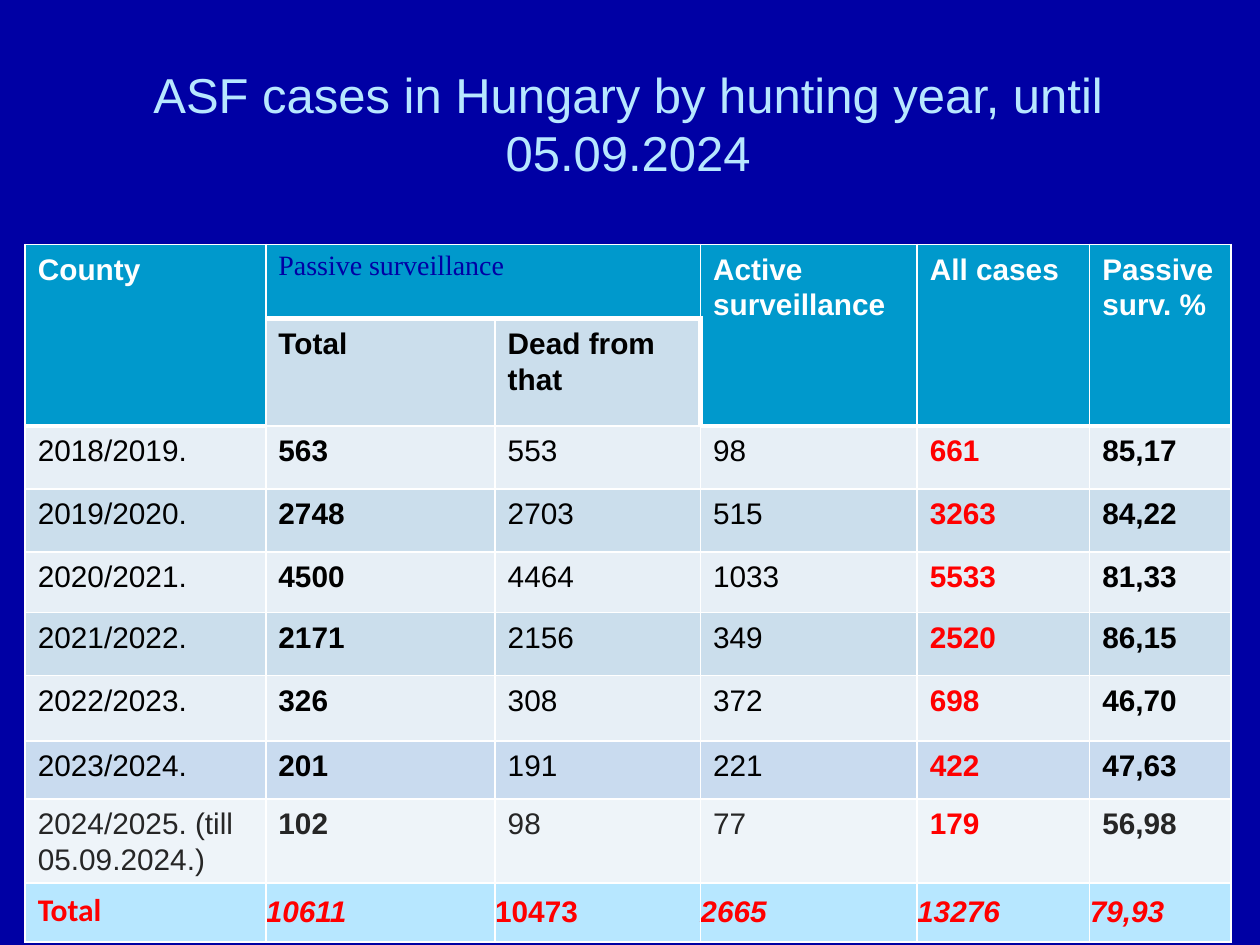
from dataclasses import dataclass
from typing import Optional

from lxml import etree
from pptx import Presentation
from pptx.dml.color import RGBColor
from pptx.enum.text import MSO_ANCHOR, PP_ALIGN
from pptx.oxml.ns import qn
from pptx.util import Inches, Pt

CENTER, MIDDLE, TOP = PP_ALIGN.CENTER, MSO_ANCHOR.MIDDLE, MSO_ANCHOR.TOP

NAVY = RGBColor(0x00, 0x00, 0xA4)
SKY = RGBColor(0xB7, 0xE7, 0xFF)
TEAL = RGBColor(0x00, 0x99, 0xCC)
WHITE = RGBColor(0xFF, 0xFF, 0xFF)
BLACK = RGBColor(0x00, 0x00, 0x00)
CHARCOAL = RGBColor(0x26, 0x26, 0x26)
RED = RGBColor(0xFF, 0x00, 0x00)
PALE = RGBColor(0xE7, 0xEF, 0xF6)
BAND = RGBColor(0xCB, 0xDE, 0xEC)
LAVENDER = RGBColor(0xC9, 0xDB, 0xEF)
LIGHTEST = RGBColor(0xEE, 0xF4, 0xF9)

COLUMN_WIDTHS = [1.91, 1.82, 1.63, 1.72, 1.37, 1.12]
ROW_HEIGHTS = [0.59, 0.85, 0.5, 0.5, 0.48, 0.5, 0.52, 0.46, 0.46, 0.47]
HEADER_ROWS = 2
ALL_CASES_COLUMN = 4
BOLD_COLUMNS = {1, 4, 5}
THIN, THICK = 1, 3


@dataclass
class CellStyle:
    fill: RGBColor
    color: RGBColor = BLACK
    bold: bool = True
    italic: bool = False
    size: float = 17
    name: str = "Arial"
    line_spacing: Optional[float] = 1.07
    space_after: float = 8
    inset: bool = True


@dataclass
class YearRow:
    values: list[str]
    fill: RGBColor
    color: RGBColor = BLACK


HEADERS = {0: "County", 3: "Active surveillance", 4: "All cases", 5: "Passive surv. %"}
SUBHEADERS = {1: "Total", 2: "Dead from that"}
YEARS = [
    YearRow(["2018/2019.", "563", "553", "98", "661", "85,17"], PALE),
    YearRow(["2019/2020.", "2748", "2703", "515", "3263", "84,22"], BAND),
    YearRow(["2020/2021.", "4500", "4464", "1033", "5533", "81,33"], PALE),
    YearRow(["2021/2022.", "2171", "2156", "349", "2520", "86,15"], BAND),
    YearRow(["2022/2023.", "326", "308", "372", "698", "46,70"], PALE),
    YearRow(["2023/2024.", "201", "191", "221", "422", "47,63"], LAVENDER),
    YearRow(["2024/2025. (till 05.09.2024.)", "102", "98", "77", "179", "56,98"],
            LIGHTEST, CHARCOAL),
]
TOTALS = ["Total", "10611", "10473", "2665", "13276", "79,93"]


def set_attributes(target, values: dict) -> None:
    for attribute, value in values.items():
        setattr(target, attribute, value)


def write_cell(cell, text: str, style: CellStyle) -> None:
    cell.fill.solid()
    cell.fill.fore_color.rgb = style.fill
    horizontal, vertical = (0.1, 0.05) if style.inset else (0, 0)
    set_attributes(cell, {
        "margin_left": Inches(horizontal), "margin_right": Inches(horizontal),
        "margin_top": Inches(vertical), "margin_bottom": Inches(vertical),
        "vertical_anchor": TOP if style.inset else MIDDLE,
    })
    paragraph = cell.text_frame.paragraphs[0]
    set_attributes(paragraph, {"line_spacing": style.line_spacing,
                               "space_after": Pt(style.space_after)})
    run = paragraph.add_run()
    run.text = text
    set_attributes(run.font, {"size": Pt(style.size), "name": style.name,
                              "bold": style.bold, "italic": style.italic})
    run.font.color.rgb = style.color


def border_widths(row: int, column: int) -> dict[str, int]:
    """Thick rules run below the header and around the subheaders."""
    subheader = column in SUBHEADERS
    header_bottom = 0 if subheader else HEADER_ROWS - 1
    return {
        "a:lnL": THICK if (row, column) == (1, 3) else THIN,
        "a:lnR": THICK if (row, column) == (1, 2) else THIN,
        "a:lnT": THICK if row == header_bottom + 1 else THIN,
        "a:lnB": THICK if row == header_bottom or (row < HEADER_ROWS and not subheader)
        else THIN,
    }


def draw_borders(cell, widths: dict[str, int]) -> None:
    properties = cell._tc.get_or_add_tcPr()
    for position, (tag, width) in enumerate(widths.items()):
        line = etree.Element(qn(tag), w=str(Pt(width)))
        fill = etree.SubElement(line, qn("a:solidFill"))
        etree.SubElement(fill, qn("a:srgbClr"), val=str(WHITE))
        properties.insert(position, line)


def add_title(slide) -> None:
    title = slide.shapes.title
    set_attributes(title, {"left": Inches(0.33), "top": Inches(0.25),
                           "width": Inches(9.31), "height": Inches(1.45)})
    title.text_frame.text = "ASF cases in Hungary by hunting year, until 05.09.2024"
    set_attributes(title.text_frame, {"word_wrap": True, "vertical_anchor": MIDDLE})
    paragraph = title.text_frame.paragraphs[0]
    paragraph.alignment = CENTER
    font = paragraph.runs[0].font
    set_attributes(font, {"size": Pt(28), "name": "Arial"})
    font.color.rgb = SKY


def fill_header(table) -> None:
    for column, text in HEADERS.items():
        table.cell(0, column).merge(table.cell(1, column))
        write_cell(table.cell(0, column), text, CellStyle(TEAL, WHITE))
    table.cell(0, 1).merge(table.cell(0, 2))
    write_cell(table.cell(0, 1), "Passive surveillance",
               CellStyle(TEAL, NAVY, bold=False, size=16, name="Times New Roman",
                         line_spacing=None, space_after=0))
    for column, text in SUBHEADERS.items():
        write_cell(table.cell(1, column), text, CellStyle(BAND))


def fill_body(table) -> None:
    for row, year in enumerate(YEARS, HEADER_ROWS):
        for column, text in enumerate(year.values):
            color = RED if column == ALL_CASES_COLUMN else year.color
            style = CellStyle(year.fill, color, bold=column in BOLD_COLUMNS)
            write_cell(table.cell(row, column), text, style)
    label_style = CellStyle(SKY, RED, size=18, name="Calibri")
    for column, text in enumerate(TOTALS):
        value_style = CellStyle(SKY, RED, italic=column != 2, line_spacing=None,
                                space_after=0, inset=False)
        write_cell(table.cell(len(ROW_HEIGHTS) - 1, column), text,
                   value_style if column else label_style)


def add_case_table(slide) -> None:
    table = slide.shapes.add_table(
        len(ROW_HEIGHTS), len(COLUMN_WIDTHS), Inches(0.2), Inches(1.94),
        Inches(sum(COLUMN_WIDTHS)), Inches(sum(ROW_HEIGHTS))).table
    table.horz_banding = False
    for column, width in zip(table.columns, COLUMN_WIDTHS):
        column.width = Inches(width)
    for row, height in zip(table.rows, ROW_HEIGHTS):
        row.height = Inches(height)
    fill_header(table)
    fill_body(table)
    for row in range(len(ROW_HEIGHTS)):
        for column in range(len(COLUMN_WIDTHS)):
            draw_borders(table.cell(row, column), border_widths(row, column))


def main() -> None:
    presentation = Presentation()
    set_attributes(presentation, {"slide_width": Inches(10), "slide_height": Inches(7.5)})
    slide = presentation.slides.add_slide(presentation.slide_layouts.get_by_name("Title Only"))
    slide.background.fill.solid()
    slide.background.fill.fore_color.rgb = NAVY
    add_title(slide)
    add_case_table(slide)
    presentation.save("out.pptx")


if __name__ == "__main__":
    main()
